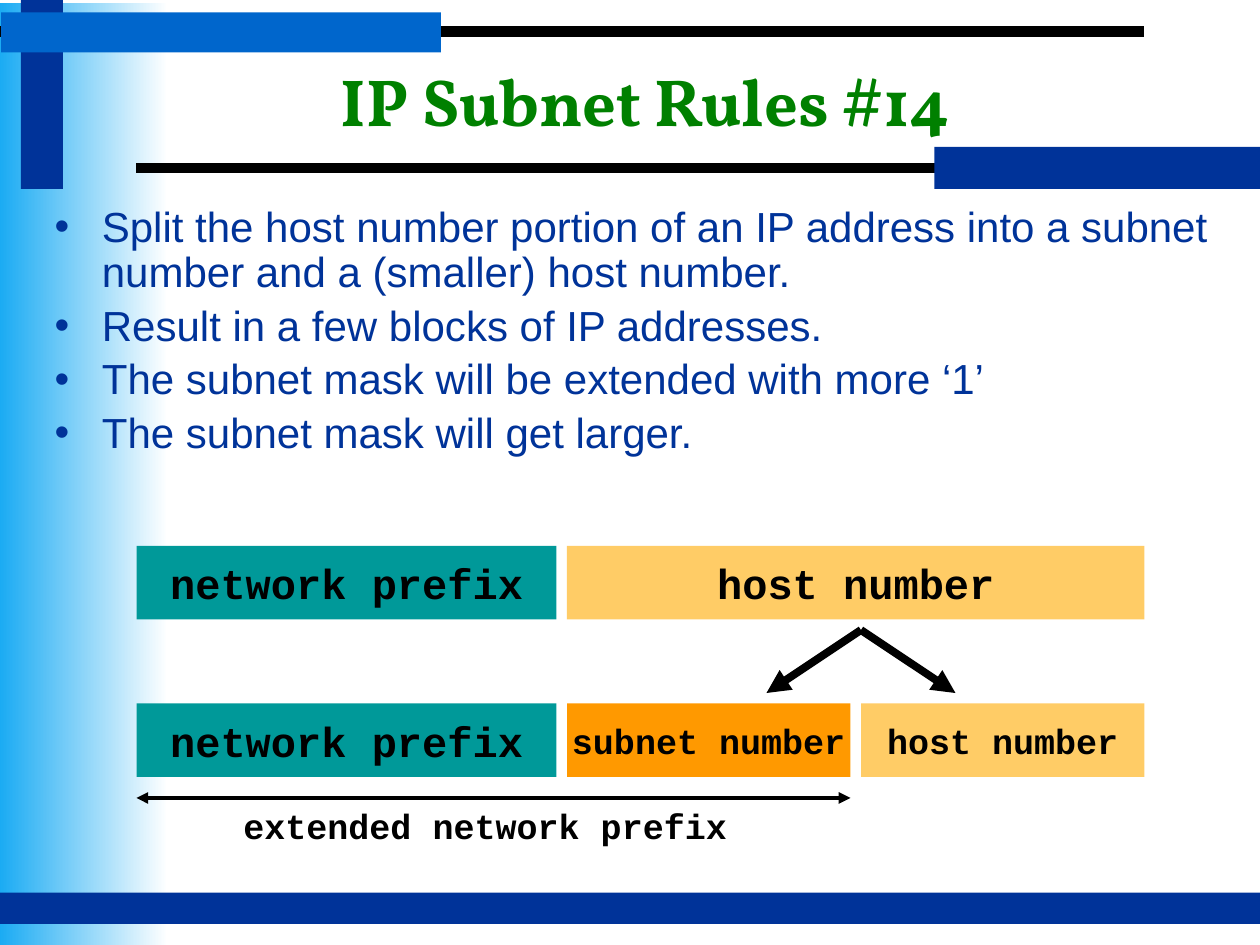
import pptx
import pptx.util
import pptx.dml.color
import pptx.enum.shapes
import pptx.enum.text
import pptx.oxml
import pptx.oxml.ns

Pt = pptx.util.Pt
PP_ALIGN = pptx.enum.text.PP_ALIGN
ANCHOR = pptx.enum.text.MSO_ANCHOR
AUTO_SIZE = pptx.enum.text.MSO_AUTO_SIZE

COLORS = {
    "sky": "1BABF3",
    "white": "FFFFFF",
    "black": "000000",
    "navy": "003399",
    "blue": "0066CC",
    "green": "008000",
    "teal": "009999",
    "sand": "FFCC66",
    "orange": "FF9900",
}
BULLETS = [
    "Split the host number portion of an IP address into a subnet number and a (smaller) host number.",
    "Result in a few blocks of IP addresses.",
    "The subnet mask will be extended with more ‘1’",
    "The subnet mask will get larger.",
]
LEFT, RIGHT, GAP = 78, 654, 6
PREFIX_W, FIELD_H = 240, 42
HOST_X = LEFT + PREFIX_W + GAP
HALF_W = (RIGHT - HOST_X - GAP) / 2
SPLIT_X = HOST_X + HALF_W + GAP
TOP_ROW, BOTTOM_ROW = 312, 402


def rgb(name):
    return pptx.dml.color.RGBColor.from_string(COLORS[name])


def add_element(parent, tag, **attrs):
    el = pptx.oxml.parse_xml(f"<{tag} {pptx.oxml.ns.nsdecls('a')}/>")
    for key, value in attrs.items():
        el.set(key, value)
    parent.append(el)


def add_run(p, text, size, font, color, bold=False):
    r = p.add_run()
    r.text = text
    r.font.size = Pt(size)
    r.font.name = font
    r.font.bold = bold
    r.font.color.rgb = rgb(color)


def add_rect(s, x, y, w, h, color):
    sp = s.shapes.add_shape(pptx.enum.shapes.MSO_SHAPE.RECTANGLE, Pt(x), Pt(y), Pt(w), Pt(h))
    sp.shadow.inherit = False
    sp.line.fill.background()
    sp.fill.solid()
    sp.fill.fore_color.rgb = rgb(color)
    return sp


def add_side_gradient(s):
    sp = add_rect(s, 0, 1.5, 96, 538.5, "sky")
    sp.fill.gradient()
    sp.fill.gradient_angle = 0
    for stop, name in zip(sp.fill.gradient_stops, ("sky", "white")):
        stop.color.rgb = rgb(name)


def add_line(s, x1, y1, x2, y2, width, ends=()):
    cx = s.shapes.add_connector(
        pptx.enum.shapes.MSO_CONNECTOR.STRAIGHT, Pt(x1), Pt(y1), Pt(x2), Pt(y2))
    cx.line.width = Pt(width)
    cx.line.color.rgb = rgb("black")
    for end in ends:
        add_element(cx.line._get_or_add_ln(), f"a:{end}", type="triangle")
    add_element(cx._element.spPr, "a:effectLst")


def add_field(s, x, y, w, text, size, color):
    sp = add_rect(s, x, y, w, FIELD_H, color)
    tf = sp.text_frame
    tf.word_wrap = False
    tf.vertical_anchor = ANCHOR.MIDDLE
    p = tf.paragraphs[0]
    p.alignment = PP_ALIGN.CENTER
    add_run(p, text, size, "Courier New", "black", True)


def add_label(s, x, y, w, h, text):
    tf = s.shapes.add_textbox(Pt(x), Pt(y), Pt(w), Pt(h)).text_frame
    tf.word_wrap = True
    add_run(tf.paragraphs[0], text, 20, "Courier New", "black", True)


def place(s, sp, x, y, w, h, anchor):
    sp.left, sp.top, sp.width, sp.height = Pt(x), Pt(y), Pt(w), Pt(h)
    s.shapes._spTree.append(sp._element)
    tf = sp.text_frame
    tf.auto_size = AUTO_SIZE.NONE
    tf.word_wrap = True
    tf.vertical_anchor = anchor
    return tf


def fill_title(s, text):
    tf = place(s, s.shapes.title, 36, 24, 666, 66, ANCHOR.MIDDLE)
    p = tf.paragraphs[0]
    p.alignment = PP_ALIGN.CENTER
    add_run(p, text, 38, "Vollkorn", "green", True)


def fill_body(s, items):
    tf = place(s, s.placeholders[1], 24, 114, 678, 168, ANCHOR.TOP)
    for i, text in enumerate(items):
        p = tf.add_paragraph() if i else tf.paragraphs[0]
        p.line_spacing = 0.9
        p.space_before = Pt(4.8 if i else 0)
        pPr = p._p.get_or_add_pPr()
        pPr.set("marL", str(Pt(27)))
        pPr.set("indent", str(-Pt(27)))
        add_element(pPr, "a:buFont", typeface="Arial")
        add_element(pPr, "a:buChar", char="•")
        add_run(p, text, 24, "Arial", "navy")


def add_decoration(s):
    add_side_gradient(s)
    add_line(s, LEFT, 96, 720, 96, 6)
    add_line(s, 0, 18, RIGHT, 18, 6)
    add_rect(s, 12, 0, 24, 108, "navy")
    add_rect(s, 0.75, 7, 251.25, 23, "blue")
    add_rect(s, 534, 84, 186, 24, "navy")
    add_rect(s, 0, 510, 720, 18, "navy")


def add_diagram(s):
    for y in (TOP_ROW, BOTTOM_ROW):
        add_field(s, LEFT, y, PREFIX_W, "network prefix", 24, "teal")
    add_field(s, HOST_X, TOP_ROW, RIGHT - HOST_X, "host number", 24, "sand")
    add_field(s, HOST_X, BOTTOM_ROW, HALF_W, "subnet number", 20, "orange")
    add_field(s, SPLIT_X, BOTTOM_ROW, HALF_W, "host number", 20, "sand")
    for dx in (-54, 54):
        add_line(s, SPLIT_X, 360, SPLIT_X + dx, 396, 4.5, ("tailEnd",))
    add_line(s, LEFT, 456, HOST_X + HALF_W, 456, 2.25, ("headEnd", "tailEnd"))
    add_label(s, 132, 456, 294, 31.5, "extended network prefix")


def main():
    prs = pptx.Presentation()
    prs.slide_width, prs.slide_height = Pt(720), Pt(540)
    s = prs.slides.add_slide(prs.slide_layouts[1])
    add_decoration(s)
    fill_title(s, "IP Subnet Rules #14")
    fill_body(s, BULLETS)
    add_diagram(s)
    prs.save("out.pptx")


if __name__ == "__main__":
    main()
